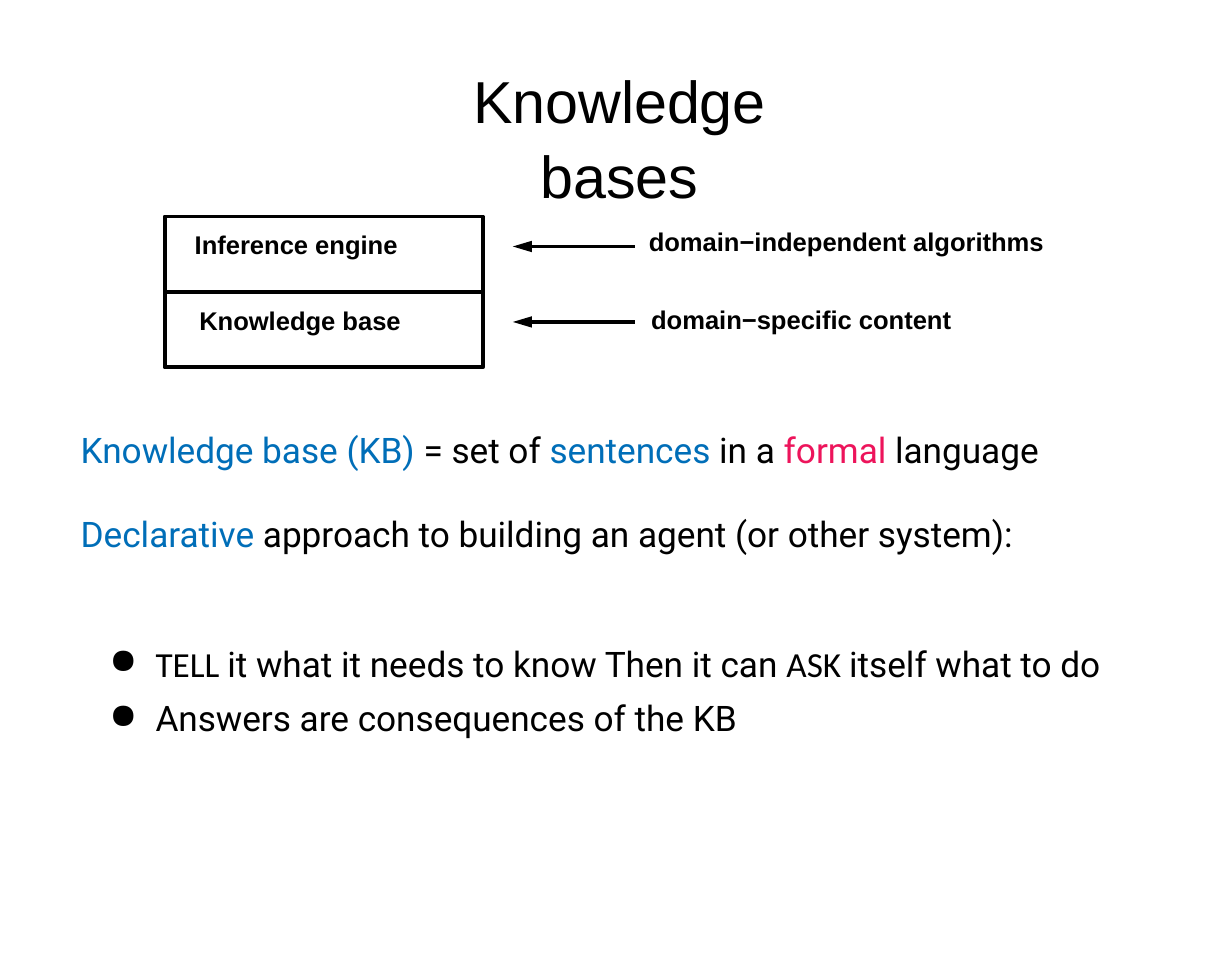
from dataclasses import dataclass

from lxml.etree import SubElement
from pptx import Presentation
from pptx.dml.color import RGBColor
from pptx.enum.shapes import MSO_CONNECTOR, MSO_SHAPE
from pptx.enum.text import MSO_ANCHOR, PP_ALIGN
from pptx.oxml.ns import qn
from pptx.slide import Slide
from pptx.text.text import Font, TextFrame, _Paragraph as Paragraph
from pptx.util import Inches, Pt

BLACK, BLUE, PINK = "000000", "006EB8", "ED145B"
LINE_WIDTH = 2.37
ROW_TOP, ROW_HEIGHT = 1.88, 0.655


@dataclass
class Layer:
    name: str
    name_indent: float
    note: str
    note_left: float
    note_top: float


@dataclass
class Span:
    text: str
    color: str = BLACK
    font: str = "Roboto"


LAYERS = [
    Layer("Inference engine", 0.26, "domain−independent algorithms", 5.63, 1.95),
    Layer("Knowledge base", 0.30, "domain−specific content", 5.65, 2.63),
]
DEFINITIONS = [
    [Span("Knowledge base (KB) ", BLUE), Span("= set of "), Span("sentences ", BLUE),
     Span("in a "), Span("formal ", PINK), Span("language")],
    [Span("Declarative ", BLUE), Span("approach to building an agent (or other system):")],
]
BULLETS = [
    [Span("TELL ", font="Calibri"), Span("it what it needs to know Then it can "),
     Span("ASK ", font="Calibri"), Span("itself what to do")],
    [Span("Answers are consequences of the KB")],
]


def rgb(color: str) -> RGBColor:
    return RGBColor.from_string(color)


def style_font(font: Font, name: str, size: float, color: str = BLACK, bold: bool = False) -> None:
    font.name, font.size, font.bold = name, Pt(size), bold
    font.color.rgb = rgb(color)


def prepare_frame(frame: TextFrame, top_inset: float) -> None:
    frame.word_wrap = True
    frame.vertical_anchor = MSO_ANCHOR.TOP
    frame.margin_left = frame.margin_right = frame.margin_bottom = 0
    frame.margin_top = Inches(top_inset)


def add_text_box(slide: Slide, left: float, top: float, width: float, height: float,
                 top_inset: float) -> TextFrame:
    frame = slide.shapes.add_textbox(*map(Inches, (left, top, width, height))).text_frame
    prepare_frame(frame, top_inset)
    return frame


def write_label(frame: TextFrame, text: str, size: float = 16, bold: bool = True) -> Paragraph:
    paragraph = frame.paragraphs[0]
    paragraph.text = text
    style_font(paragraph.font, "Arial", size, bold=bold)
    return paragraph


def write_spans(frame: TextFrame, lines: list[list[Span]]) -> None:
    """Write one paragraph per line, with each span in its own font and colour."""
    for index, spans in enumerate(lines):
        paragraph = frame.add_paragraph() if index else frame.paragraphs[0]
        for span in spans:
            run = paragraph.add_run()
            run.text = span.text
            style_font(run.font, span.font, 22, span.color)


def add_bullet(paragraph: Paragraph) -> None:
    properties = paragraph._p.get_or_add_pPr()
    properties.set("marL", str(Inches(0.5)))
    properties.set("indent", str(Inches(-0.4)))
    bullet_color = SubElement(properties, qn("a:buClr"))
    SubElement(bullet_color, qn("a:srgbClr"), val=BLACK)
    SubElement(properties, qn("a:buChar"), char="●")


def add_arrow(slide: Slide, start: float, end: float, y: float) -> None:
    arrow = slide.shapes.add_connector(
        MSO_CONNECTOR.STRAIGHT, Inches(start), Inches(y), Inches(end), Inches(y))
    arrow.line.color.rgb = rgb(BLACK)
    arrow.line.width = Pt(LINE_WIDTH)
    SubElement(arrow.line._get_or_add_ln(), qn("a:tailEnd"), type="triangle", w="med", len="lg")
    SubElement(arrow._element.spPr, qn("a:effectLst"))


def add_layer(slide: Slide, layer: Layer, top: float) -> None:
    """Draw a layer's box, the arrow pointing at it and the note beside the arrow."""
    box = slide.shapes.add_shape(
        MSO_SHAPE.RECTANGLE, *map(Inches, (1.43, top, 2.76, ROW_HEIGHT)))
    box.shadow.inherit = False
    box.fill.background()
    box.line.color.rgb = rgb(BLACK)
    box.line.width = Pt(LINE_WIDTH)
    prepare_frame(box.text_frame, 0.11)
    box.text_frame.margin_left = Inches(layer.name_indent)
    write_label(box.text_frame, layer.name).alignment = PP_ALIGN.LEFT

    add_arrow(slide, 5.51, 4.45, top + 0.26)
    note = add_text_box(slide, layer.note_left, layer.note_top, 3.59, 0.3, 0.01)
    write_label(note, layer.note)


def main() -> None:
    presentation = Presentation()
    presentation.slide_width, presentation.slide_height = Inches(10.69), Inches(8.36)
    slide = presentation.slides.add_slide(presentation.slide_layouts[6])

    title = add_text_box(slide, 3.4, 0.51, 3.95, 1.25, 0.02)
    heading = write_label(title, "Knowledge bases", size=37, bold=False)
    heading.alignment = PP_ALIGN.CENTER
    heading.line_spacing = 1.05

    for row, layer in enumerate(LAYERS):
        add_layer(slide, layer, ROW_TOP + row * ROW_HEIGHT)

    definitions = add_text_box(slide, 0.7, 3.7, 9.36, 1.11, 0.02)
    write_spans(definitions, DEFINITIONS)
    definitions.paragraphs[0].space_after = Pt(26)

    bullets = add_text_box(slide, 0.85, 5.46, 9.06, 0.86, 0.01)
    write_spans(bullets, BULLETS)
    for paragraph in bullets.paragraphs:
        paragraph.line_spacing = 1.29
        add_bullet(paragraph)

    presentation.save("out.pptx")


if __name__ == "__main__":
    main()
